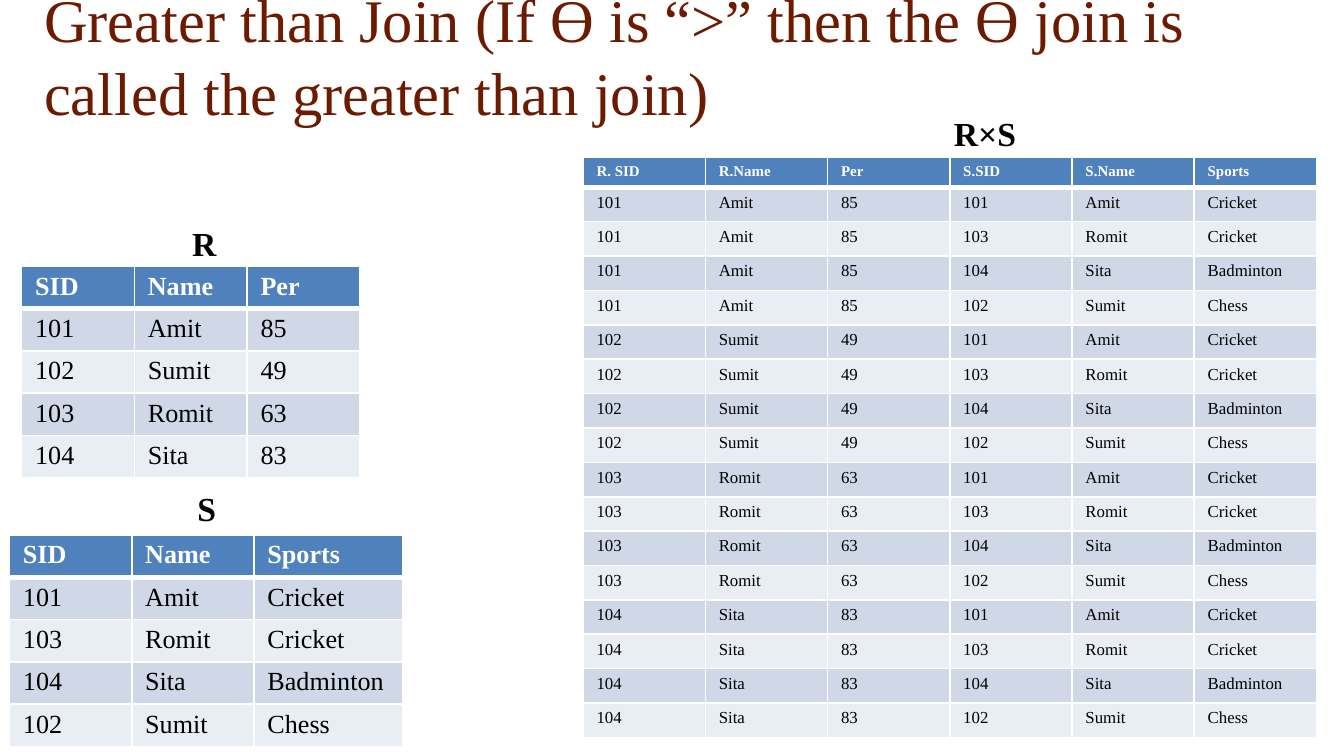
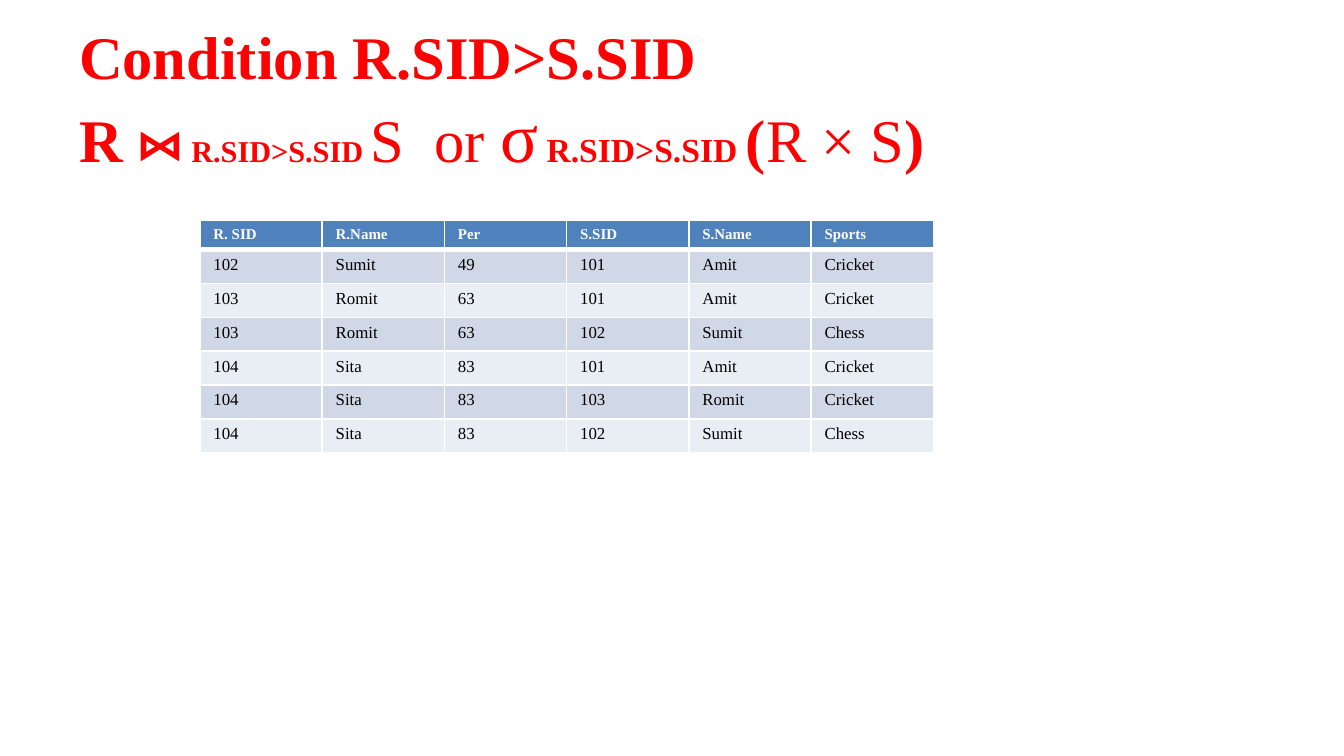
from dataclasses import dataclass
from itertools import product

from lxml.etree import SubElement
from pptx import Presentation
from pptx.dml.color import RGBColor as RGB
from pptx.enum.text import MSO_ANCHOR as Anchor, MSO_AUTO_SIZE as AutoSize
from pptx.oxml import parse_xml
from pptx.oxml.ns import nsdecls, qn
from pptx.util import Cm, Pt


@dataclass(frozen=True)
class Theme:
    font: str = "Times New Roman"
    title: str = "6C1A00"
    accent: str = "FF0000"
    black: str = "000000"
    white: str = "FFFFFF"
    header: str = "4F81BD"
    bands: tuple = ("D0D8E8", "E9EDF4")
    title_size: float = 32.4
    sigma_size: float = 37.8
    join_size: float = 16.2
    label_size: float = 18
    table_size: float = 14
    small_size: float = 9
    small_header: float = 8
    thin: float = 1
    thick: float = 3


T = Theme()

R_HEAD = ["SID", "Name", "Per"]
R = [("101", "Amit", "85"), ("102", "Sumit", "49"),
     ("103", "Romit", "63"), ("104", "Sita", "83")]
S_HEAD = ["SID", "Name", "Sports"]
S = [("101", "Amit", "Cricket"), ("103", "Romit", "Cricket"),
     ("104", "Sita", "Badminton"), ("102", "Sumit", "Chess")]
CROSS_HEAD = ["R. SID", "R.Name", "Per", "S.SID", "S.Name", "Sports"]
CROSS = [r + s for r, s in product(R, S)]
GREATER = [row for row in CROSS if int(row[0]) > int(row[3])]


def style_master_title(prs):
    level = prs.slide_master.element.find(".//" + qn("p:titleStyle")).find(qn("a:lvl1pPr"))
    level.set("algn", "l")
    font = level.find(qn("a:defRPr"))
    font.set("sz", str(round(T.title_size * 100)))
    font.find(qn("a:latin")).set("typeface", T.font)


def add_run(p, text, size, color, bold=False):
    r = p.add_run()
    r.text = text
    for name, value in {"name": T.font, "size": Pt(size), "bold": bold}.items():
        setattr(r.font, name, value)
    r.font.color.rgb = RGB.from_string(color)


def set_title(s, left, top, color, lines):
    sp = s.shapes.title
    box = {"left": Cm(left), "top": Cm(top), "width": Cm(22.91), "height": Cm(2.13)}
    for name, value in box.items():
        setattr(sp, name, value)
    tf = sp.text_frame
    frame = {"word_wrap": True, "auto_size": AutoSize.NONE, "vertical_anchor": Anchor.MIDDLE}
    for name, value in frame.items():
        setattr(tf, name, value)
    p = tf.paragraphs[0]
    for i, line in enumerate(lines):
        if i:
            p.add_line_break()
        for text, size, bold in line:
            add_run(p, text, size, color, bold)


def add_label(s, left, top, text):
    sp = s.shapes.add_textbox(Cm(left), Cm(top), Cm(1.7), Cm(1.02))
    tf = sp.text_frame
    tf.word_wrap = True
    add_run(tf.paragraphs[0], text, T.label_size, T.black, True)


def set_borders(cell, top, bottom):
    tc_pr = cell._tc.get_or_add_tcPr()
    widths = {"lnL": T.thin, "lnR": T.thin, "lnT": top, "lnB": bottom}
    for i, (side, width) in enumerate(widths.items()):
        line = parse_xml(f'<a:{side} {nsdecls("a")} w="{Pt(width)}"/>')
        fill = SubElement(line, qn("a:solidFill"))
        SubElement(fill, qn("a:srgbClr")).set("val", T.white)
        tc_pr.insert(i, line)


def fill_cell(cell, text, size, color, fill, bold, top, bottom):
    cell.margin_top = cell.margin_bottom = Cm(0.11)
    cell.fill.solid()
    cell.fill.fore_color.rgb = RGB.from_string(fill)
    add_run(cell.text_frame.paragraphs[0], text, size, color, bold)
    set_borders(cell, top, bottom)


def add_relation(s, left, top, widths, heights, sizes, head, rows):
    head_height, row_height = heights
    head_size, row_size = sizes
    total = head_height + row_height * len(rows)
    table = s.shapes.add_table(len(rows) + 1, len(head), Cm(left), Cm(top),
                               Cm(sum(widths)), Cm(total)).table
    for column, width in zip(table.columns, widths):
        column.width = Cm(width)
    for i, values in enumerate([head, *rows]):
        is_head = i == 0
        table.rows[i].height = Cm(head_height if is_head else row_height)
        style = {
            "size": head_size if is_head else row_size,
            "color": T.white if is_head else T.black,
            "fill": T.header if is_head else T.bands[(i - 1) % 2],
            "bold": is_head,
            "top": T.thick if i == 1 else T.thin,
            "bottom": T.thick if is_head else T.thin,
        }
        for j, text in enumerate(values):
            fill_cell(table.cell(i, j), text, **style)


def add_source_relation(s, left, top, widths, head, rows):
    add_relation(s, left, top, widths, (0.8, 0.8), (T.table_size, T.table_size), head, rows)


def add_joined_relation(s, left, top, heights, rows):
    add_relation(s, left, top, [2.31] * 6, heights, (T.small_header, T.small_size),
                 CROSS_HEAD, rows)


def build_product_slide(s):
    heading = "Greater than Join (If ϴ is “>” then the ϴ join is called the greater than join)"
    set_title(s, 0.58, -0.03, T.title, [[(heading, T.title_size, False)]])
    add_source_relation(s, 0.41, 5.03, [2.13] * 3, R_HEAD, R)
    add_source_relation(s, 0.18, 10.11, [2.31, 2.31, 2.81], S_HEAD, S)
    for left, top, text in [(3.38, 4.09, "R"), (3.48, 9.09, "S"), (17.78, 2.01, "R×S")]:
        add_label(s, left, top, text)
    add_joined_relation(s, 11.02, 2.97, (0.57, 0.65), CROSS)


def build_condition_slide(s):
    set_title(s, 1.24, 0.79, T.accent, [
        [("Condition R.SID>S.SID", T.title_size, True)],
        [("R ⋈", T.title_size, True),
         (" ", T.join_size, False),
         ("R.SID>S.SID ", T.join_size, True),
         ("S  or ", T.title_size, False),
         ("σ", T.sigma_size, False),
         (" R.SID>S.SID ", T.label_size, True),
         ("(", T.title_size, True),
         ("R × S", T.title_size, False),
         (")", T.title_size, True)],
    ])
    add_joined_relation(s, 3.78, 4.17, (0.55, 0.64), GREATER)


def main():
    prs = Presentation()
    prs.slide_width, prs.slide_height = Cm(25.4), Cm(14.29)
    style_master_title(prs)
    title_only = prs.slide_layouts[5]
    for build in (build_product_slide, build_condition_slide):
        build(prs.slides.add_slide(title_only))
    prs.save("out.pptx")


if __name__ == "__main__":
    main()
